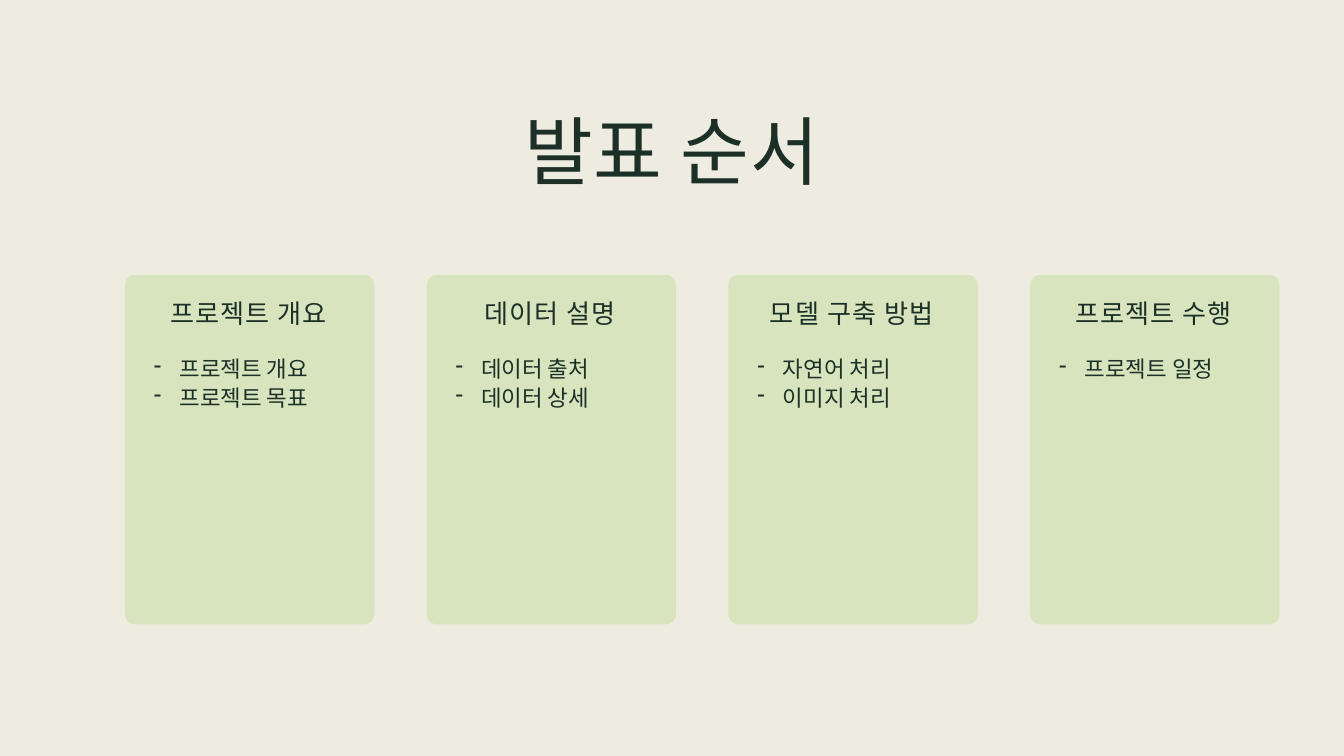
"""Builds the presentation agenda slide with four topic cards."""
from lxml import etree
from pptx import Presentation
from pptx.dml.color import RGBColor
from pptx.enum import shapes, text
from pptx.oxml import ns
from pptx.util import Inches, Pt

COLORS = {"background": "EEECE1", "card": "D7E4BD", "ink": "1C3027"}
HEADING_FONT, BODY_FONT = "Calibri", "Noto Sans CJK KR"

TITLE = "발표 순서"
TOPICS = [
    ("프로젝트 개요", ["프로젝트 개요", "프로젝트 목표"]),
    ("데이터 설명", ["데이터 출처", "데이터 상세"]),
    ("모델 구축 방법", ["자연어 처리", "이미지 처리"]),
    ("프로젝트 수행", ["프로젝트 일정"]),
]

CARD_LEFT, CARD_TOP, CARD_WIDTH, CARD_HEIGHT = 1.86, 4.09, 3.71, 5.2
CARD_PITCH, CORNER, INDENT = 4.49, 0.15, 0.38


def paint(fill, color):
    fill.solid()
    fill.fore_color.rgb = RGBColor.from_string(COLORS[color])


def add_dash(paragraph):
    properties = paragraph._p.get_or_add_pPr()
    properties.set("marL", str(Inches(INDENT)))
    properties.set("indent", str(-Inches(INDENT)))
    etree.SubElement(properties, ns.qn("a:buChar"), char="-")


def add_lines(slide, lines, box, font, size, leading, spacing=0, dashed=False):
    frame = slide.shapes.add_textbox(*map(Inches, box)).text_frame
    frame.word_wrap = True
    frame.margin_left = frame.margin_right = frame.margin_top = frame.margin_bottom = 0
    frame.text = "\n".join(lines)
    for paragraph in frame.paragraphs:
        paragraph.line_spacing = Pt(leading)
        if dashed:
            add_dash(paragraph)
        else:
            paragraph.alignment = text.PP_ALIGN.CENTER
        for run in paragraph.runs:
            run.font.size = Pt(size)
            run.font.name = font
            run.font.color.rgb = RGBColor.from_string(COLORS["ink"])
            properties = run._r.get_or_add_rPr()
            properties.set("spc", str(round(spacing * 100)))
            etree.SubElement(properties, ns.qn("a:ea"), typeface=font)


def add_topic(slide, left, heading, items):
    card = slide.shapes.add_shape(
        shapes.MSO_SHAPE.ROUNDED_RECTANGLE,
        *map(Inches, (left, CARD_TOP, CARD_WIDTH, CARD_HEIGHT)))
    card.adjustments[0] = CORNER / CARD_WIDTH
    card.shadow.inherit = False
    card.line.fill.background()
    paint(card.fill, "card")
    add_lines(slide, [heading], (left + 0.33, 4.38, 3.01, 0.47),
              BODY_FONT, 28, 36.4, spacing=1.2)
    add_lines(slide, items, (left + 0.43, 5.24, 2.91, 0.44 * len(items)),
              BODY_FONT, 24, 31.5, dashed=True)


def main():
    deck = Presentation()
    deck.slide_width, deck.slide_height = Inches(20), Inches(11.25)
    slide = deck.slides.add_slide(deck.slide_layouts[6])
    paint(slide.background.fill, "background")
    add_lines(slide, [TITLE], (2.29, 1.56, 15.41, 1.35), HEADING_FONT, 80, 96, spacing=0.8)
    for column, (heading, items) in enumerate(TOPICS):
        add_topic(slide, CARD_LEFT + column * CARD_PITCH, heading, items)
    deck.save("out.pptx")


if __name__ == "__main__":
    main()
